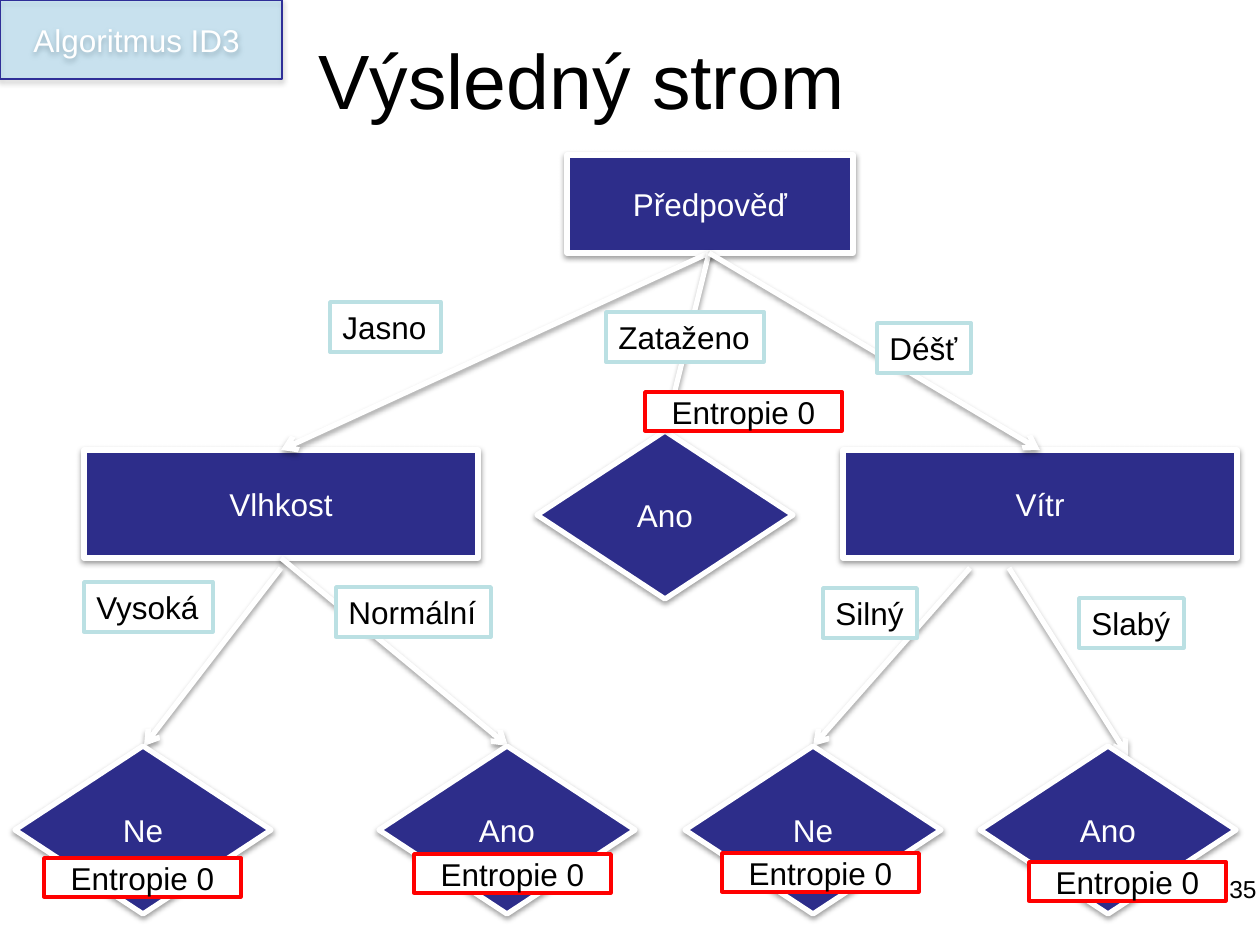
from lxml import etree
from pptx import Presentation
from pptx import util as u
from pptx.dml.color import RGBColor
from pptx.enum import shapes, text
from pptx.oxml import ns

PX = 914400 / 126
FONT = "Arial"
COLORS = {
    "navy": "2D2D8A", "white": "FFFFFF", "black": "000000", "teal": "BBE0E3",
    "red": "FF0000", "sky": "66CCFF", "tag_line": "2F2F98",
}
RECT = shapes.MSO_SHAPE.RECTANGLE
DIAMOND = shapes.MSO_SHAPE.DIAMOND
LEFT, CENTER, RIGHT = text.PP_ALIGN.LEFT, text.PP_ALIGN.CENTER, text.PP_ALIGN.RIGHT
TOP, MIDDLE = text.MSO_ANCHOR.TOP, text.MSO_ANCHOR.MIDDLE


def px(*values):
    return [u.Emu(round(v * PX)) for v in values]


def rgb(name):
    return RGBColor.from_string(COLORS[name])


def add_child(parent, tag, **attrs):
    return etree.SubElement(parent, ns.qn(tag), attrs)


def add_shadow(effects, alpha=38, dist=20000):
    """Fill an a:effectLst with a soft shadow that falls straight down."""
    shadow = add_child(effects, "a:outerShdw", blurRad="40000", dist=str(dist),
                       dir="5400000", rotWithShape="0")
    color = add_child(shadow, "a:srgbClr", val=COLORS["black"])
    add_child(color, "a:alpha", val=str(alpha * 1000))


def write(sp, words, color, size=18, align=CENTER, anchor=MIDDLE):
    tf = sp.text_frame
    tf.word_wrap = True
    tf.vertical_anchor = anchor
    p = tf.paragraphs[0]
    p.alignment = align
    r = p.add_run()
    r.text = words
    r.font.name, r.font.size = FONT, u.Pt(size)
    r.font.color.rgb = rgb(color)


def add_text(slide, words, box, size, align, anchor):
    sp = slide.shapes.add_textbox(*px(*box))
    write(sp, words, "black", size, align, anchor)


def add_box(slide, kind, box, fill, line, width):
    sp = slide.shapes.add_shape(kind, *px(*box))
    sp.shadow.inherit = False
    sp.fill.solid()
    sp.fill.fore_color.rgb = rgb(fill)
    sp.line.color.rgb = rgb(line)
    sp.line.width = u.Pt(width)
    return sp


def add_node(slide, words, kind, *box):
    sp = add_box(slide, kind, box, "navy", "white", 3)
    add_shadow(sp._element.spPr.find(ns.qn("a:effectLst")))
    write(sp, words, "white")


def add_leaf(slide, words, x, y):
    add_node(slide, words, DIAMOND, x, y, 256, 168)


def add_edge(slide, *ends):
    line = slide.shapes.add_connector(shapes.MSO_CONNECTOR.STRAIGHT, *px(*ends))
    line.line.color.rgb = rgb("white")
    line.line.width = u.Pt(3)
    add_child(line.line._get_or_add_ln(), "a:tailEnd", type="arrow")
    add_shadow(add_child(line._element.spPr, "a:effectLst"))


def add_label(slide, words, x, y, width):
    sp = add_box(slide, RECT, (x, y, width, 50), "white", "teal", 2)
    write(sp, words, "black", align=LEFT, anchor=TOP)
    sp.text_frame.word_wrap = False
    sp.text_frame.auto_size = text.MSO_AUTO_SIZE.SHAPE_TO_FIT_TEXT


def add_entropy(slide, x, y):
    sp = add_box(slide, RECT, (x, y, 197, 39), "white", "red", 2)
    write(sp, "Entropie 0", "black")


def add_tag(slide, words):
    sp = add_box(slide, RECT, (0, 0, 282, 79), "sky", "tag_line", 0.75)
    color = sp._element.spPr.find(".//" + ns.qn("a:srgbClr"))
    add_child(color, "a:alpha", val="25000")
    add_shadow(sp._element.spPr.find(ns.qn("a:effectLst")), 35, 23000)
    write(sp, words, "white")


def main():
    prs = Presentation()
    prs.slide_width, prs.slide_height = px(1260, 945)
    slide = prs.slides.add_slide(prs.slide_layouts[6])

    add_text(slide, "Výsledný strom", (15, 0, 1134, 158), 44, CENTER, MIDDLE)

    # Decision nodes and the leaf of the middle branch
    add_node(slide, "Předpověď", RECT, 567, 155, 286, 98)
    for words, x in (("Vlhkost", 84), ("Vítr", 843)):
        add_node(slide, words, RECT, x, 450, 394, 108)
    add_leaf(slide, "Ano", 537, 431)

    # Branches: three from the root, then two from each decision
    for x, y in ((281, 450), (665, 431), (1040, 450)):
        add_edge(slide, 709, 253, x, y)
    for ends in ((281, 568, 144, 746), (281, 558, 508, 746),
                 (970, 568, 813, 746), (1009, 568, 1128, 756)):
        add_edge(slide, *ends)

    # Attribute values on the branches
    for label in (("Jasno", 330, 302, 111), ("Zataženo", 606, 312, 158),
                  ("Déšť", 877, 323, 94), ("Vysoká", 84, 582, 129),
                  ("Normální", 336, 587, 155), ("Silný", 823, 588, 94),
                  ("Slabý", 1079, 598, 105)):
        add_label(slide, *label)

    # Bottom leaves, then the entropy of every leaf
    for words, x in (("Ne", 15), ("Ano", 379), ("Ne", 685), ("Ano", 980)):
        add_leaf(slide, words, x, 746)
    for x, y in ((44, 858), (645, 392), (722, 853), (1029, 862), (414, 854)):
        add_entropy(slide, x, y)

    # Section tag and page number
    add_tag(slide, "Algoritmus ID3 ")
    add_text(slide, "35", (975, 868, 294, 66), 14, RIGHT, TOP)

    prs.save("out.pptx")


if __name__ == "__main__":
    main()
